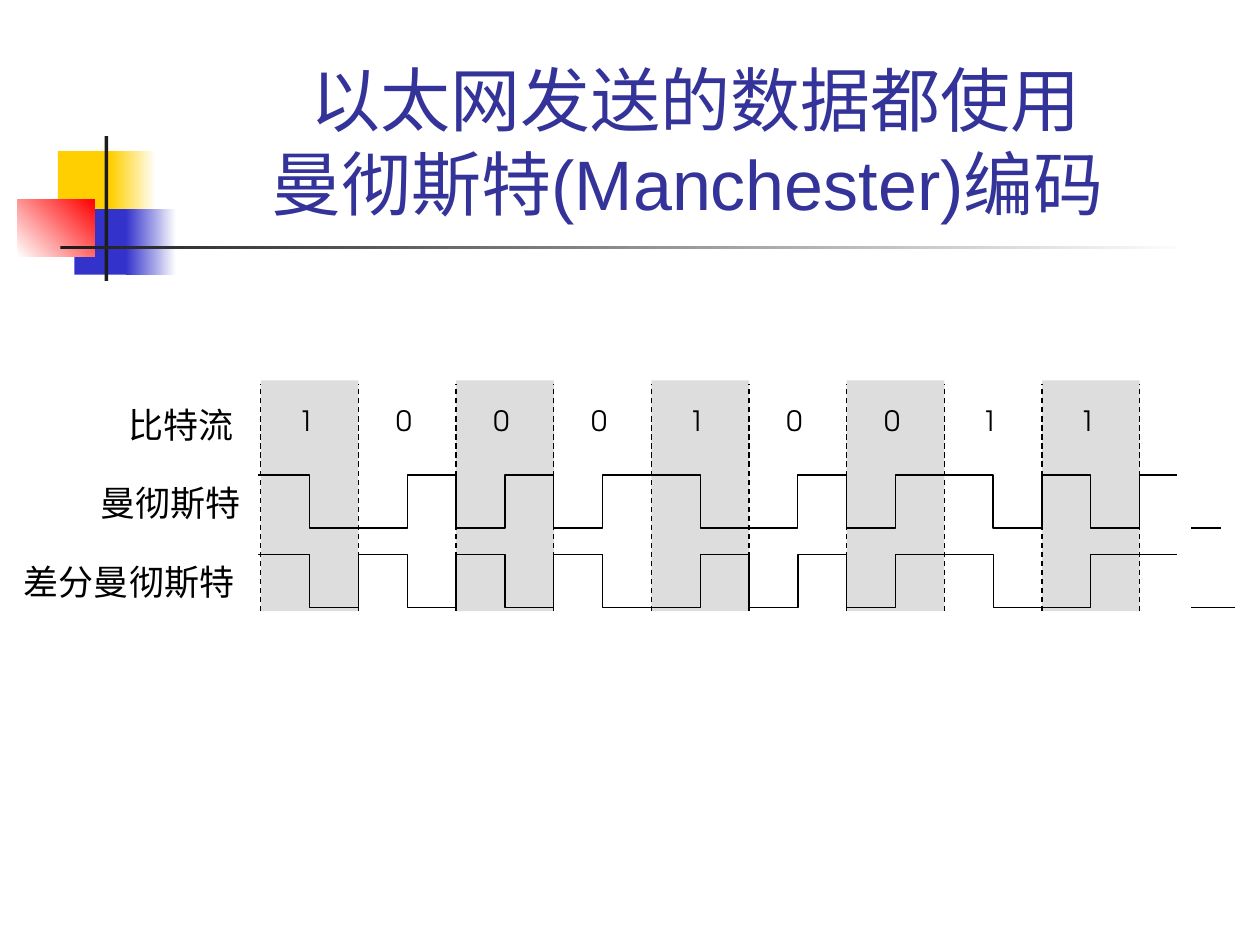
import pptx
import pptx.dml.color
import pptx.enum.dml
import pptx.enum.shapes
import pptx.enum.text
import pptx.oxml
import pptx.util

Inches = pptx.util.Inches
Pt = pptx.util.Pt
ALIGN = pptx.enum.text.PP_ALIGN
ANCHOR = pptx.enum.text.MSO_ANCHOR
COLORS = {
    "yellow": "FFCF01", "blue": "3333CC", "red": "FF0000", "dark": "1C1C1C",
    "white": "FFFFFF", "title": "333399", "shade": "DDDDDD", "black": "000000",
}
RGB = {name: pptx.dml.color.RGBColor.from_string(value) for name, value in COLORS.items()}

presentation = pptx.Presentation()
presentation.slide_width = Inches(10)
presentation.slide_height = Inches(7.5)
slide = presentation.slides.add_slide(presentation.slide_layouts[6])


def add_block(left, top, width, height, color, end_color=None, angle=0):
    """Add a borderless rectangle, solid or fading to end_color."""
    shape = slide.shapes.add_shape(
        pptx.enum.shapes.MSO_SHAPE.RECTANGLE,
        Inches(left), Inches(top), Inches(width), Inches(height))
    shape.shadow.inherit = False
    shape.line.fill.background()
    if end_color is None:
        shape.fill.solid()
        shape.fill.fore_color.rgb = RGB[color]
    else:
        shape.fill.gradient()
        shape.fill.gradient_angle = angle
        for stop, name in zip(shape.fill.gradient_stops, (color, end_color)):
            stop.color.rgb = RGB[name]
    return shape


def add_text(text, box, font, color="black", align=ALIGN.LEFT, wrap=False, anchor=ANCHOR.TOP):
    text_box = slide.shapes.add_textbox(*(Inches(length) for length in box))
    frame = text_box.text_frame
    for name, value in {"word_wrap": wrap, "vertical_anchor": anchor}.items():
        setattr(frame, name, value)
    paragraph = frame.paragraphs[0]
    paragraph.text = text
    paragraph.alignment = align
    for run in paragraph.runs:
        for name, value in font.items():
            setattr(run.font, name, value)
        run.font.color.rgb = RGB[color]


# Corner ornament and title rule
for block in (
    (0.46, 1.2, 0.48, 0.52, "yellow"),
    (0.88, 1.2, 0.36, 0.52, "yellow", "white"),
    (0.59, 1.66, 0.46, 0.52, "blue"),
    (1, 1.66, 0.4, 0.52, "blue", "white"),
    (0.14, 1.58, 0.61, 0.46, "white", "red", 45),
    (0.83, 1.08, 0.03, 1.15, "dark"),
    (0.48, 1.95, 9, 0.03, "dark", "white"),
):
    add_block(*block)

add_text("以太网发送的数据都使用\v曼彻斯特(Manchester)编码 ", (1.26, 0.23, 8.52, 1.6),
         {"name": "Arial", "size": Pt(40)}, "title", ALIGN.CENTER, True, ANCHOR.BOTTOM)

# Bit cells: every other one is shaded
BITS = "100010011"
GRID_LEFT, GRID_TOP, GRID_BOTTOM = 2.07, 3.02, 4.85
BIT_WIDTH = 0.775
edges = [GRID_LEFT + BIT_WIDTH * index for index in range(len(BITS) + 1)]

for left in edges[:-1:2]:
    add_block(left, GRID_TOP, BIT_WIDTH, GRID_BOTTOM - GRID_TOP, "shade")
for left, bit in zip(edges, BITS):
    add_text(bit, (left + 0.2, 3.15, 0.33, 0.36),
             {"name": "TeX Gyre Adventor", "size": Pt(16)})
for x in edges:
    divider = slide.shapes.add_connector(
        pptx.enum.shapes.MSO_CONNECTOR.STRAIGHT,
        Inches(x), Inches(GRID_BOTTOM), Inches(x), Inches(GRID_TOP + 0.03))
    divider.line.color.rgb = RGB["black"]
    divider.line.width = Pt(0.75)
    divider.line.dash_style = pptx.enum.dml.MSO_LINE.DASH
    divider._element.spPr.append(pptx.oxml.parse_xml(
        '<a:effectLst xmlns:a="http://schemas.openxmlformats.org/drawingml/2006/main"/>'))

# Signal level of each half bit (1 high, 0 low); one more 1 follows the stream
manchester, differential = [], []
previous = 1
for bit in BITS + "1":
    manchester += [1, 0] if bit == "1" else [0, 1]
    # Differential: a 0 flips the level at the start of the cell, a 1 keeps it
    first = previous if bit == "1" else 1 - previous
    differential += [first, 1 - first]
    previous = 1 - first

WAVE_HEIGHT = 0.42
for levels, top, end in ((manchester, 3.77, 9.69), (differential, 4.4, 9.8)):
    points = []
    for index, level in enumerate(levels):
        y = top + WAVE_HEIGHT * (1 - level)
        left = GRID_LEFT + BIT_WIDTH / 2 * index
        points += [(left, y), (left + BIT_WIDTH / 2, y)]
    points[0] = (GRID_LEFT - 0.02, points[0][1])
    points[-1] = (end, points[-1][1])
    points = [(Inches(x), Inches(y)) for x, y in points]
    builder = slide.shapes.build_freeform(*points[0])
    builder.add_line_segments(points[1:], close=False)
    wave = builder.convert_to_shape()
    wave.shadow.inherit = False
    wave.fill.background()
    wave.line.color.rgb = RGB["black"]
    wave.line.width = Pt(0.75)

for label, left, top, width, align in (
    (" 比特流", 0.86, 3.15, 1.11, ALIGN.LEFT),
    ("曼彻斯特", 0.7, 3.77, 1.31, ALIGN.LEFT),
    ("差分曼彻斯特", 0.09, 4.4, 1.87, ALIGN.CENTER),
):
    add_text(label, (left, top, width, 0.43),
             {"name": "Times New Roman", "size": Pt(20)}, align=align)

# White gap that breaks the waves after the last bit
gap = add_block(9.35, 1.94, 0.1, 2.92, "white")
gap.line.color.rgb = RGB["white"]
gap.line.width = Pt(0.75)

presentation.save("out.pptx")
